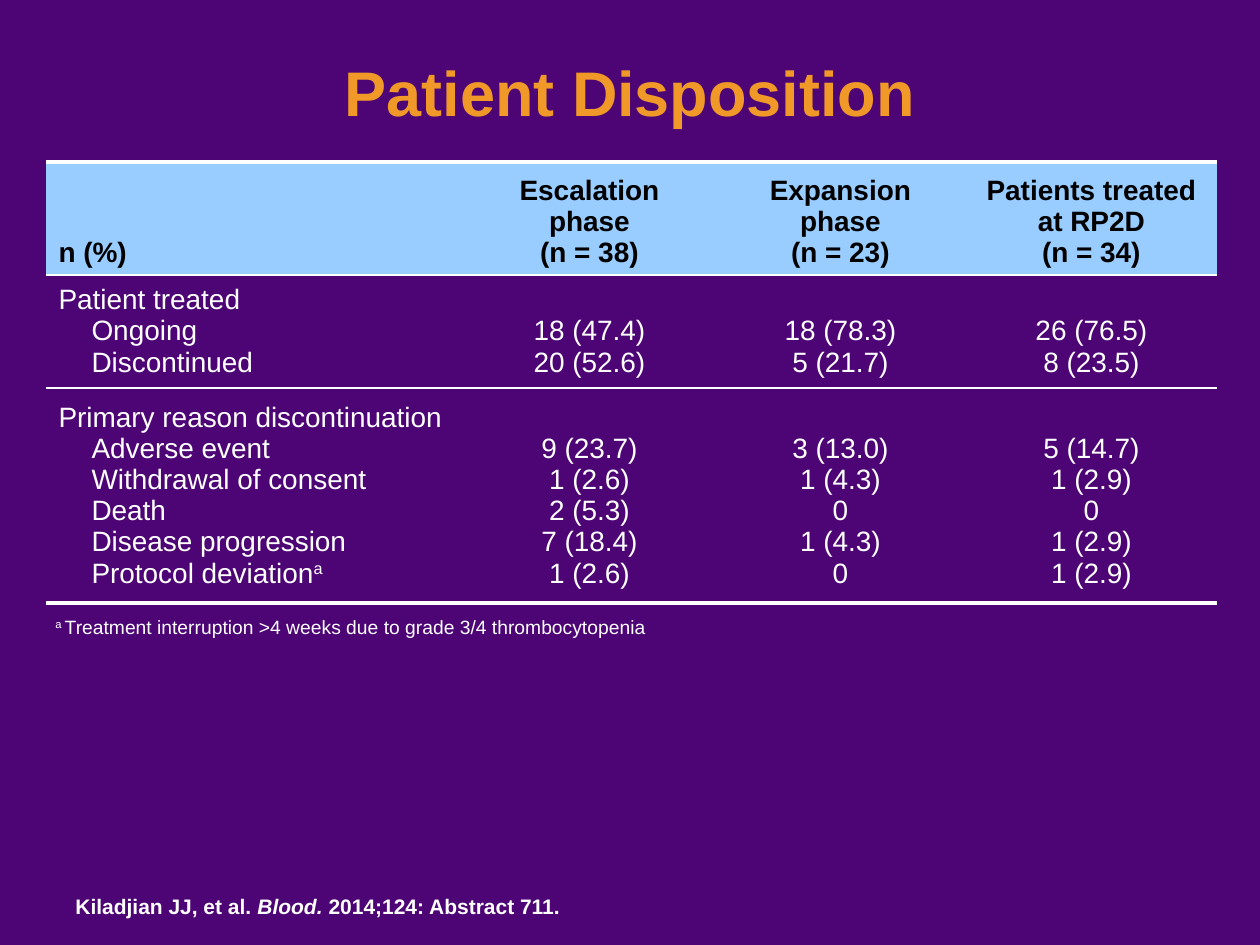
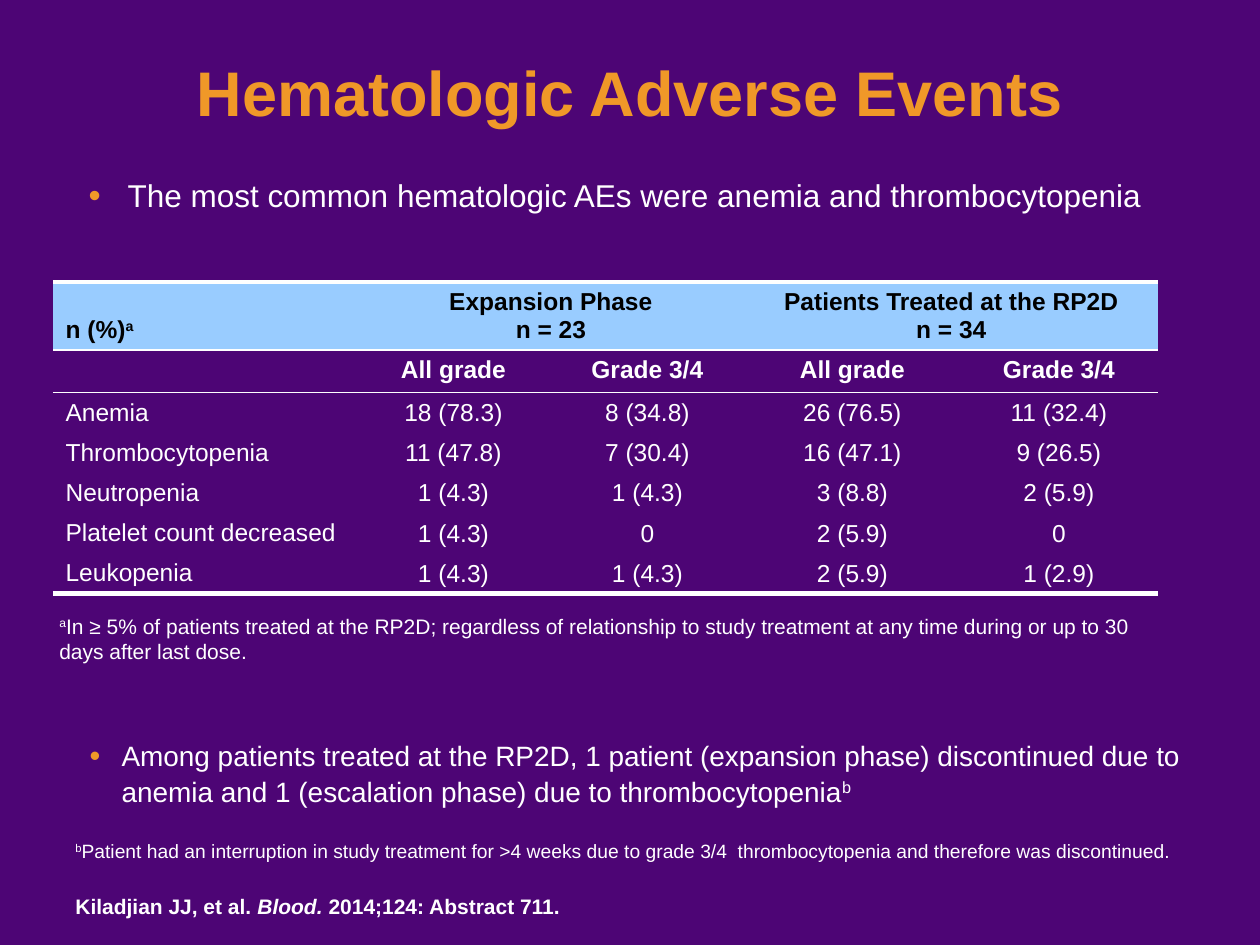
from dataclasses import dataclass

from lxml.etree import SubElement
from pptx import Presentation
from pptx.dml.color import RGBColor
from pptx.enum.text import MSO_ANCHOR, MSO_AUTO_SIZE, PP_ALIGN
from pptx.oxml import parse_xml
from pptx.oxml.ns import nsdecls, qn
from pptx.util import Emu, Pt

SCALE = 914400 / 126
PLAIN_GRID = "{2D5ABB26-0587-4C30-8999-92F81FD0307C}"


@dataclass(frozen=True)
class Theme:
    font: str = "Arial"
    back: str = "4D0575"
    accent: str = "F09828"
    band: str = "99CCFF"
    dark: str = "000000"
    light: str = "FFFFFF"
    title: int = 36
    lead: int = 18
    body: int = 16
    cell: int = 14
    note: int = 12
    small: int = 11
    thick: int = 3
    thin: int = 1


T = Theme()


def px(count):
    return Emu(round(count * SCALE))


def rgb(code):
    return RGBColor.from_string(code)


# Text: a paragraph is a string or a list of (words, style) parts
def write(frame, paras, size, color=T.light, bold=False, align=PP_ALIGN.LEFT):
    for index, parts in enumerate(paras):
        para = frame.paragraphs[0] if index == 0 else frame.add_paragraph()
        para.alignment = align
        if isinstance(parts, str):
            parts = [(parts, "")]
        for words, style in parts:
            if not words:
                continue
            run = para.add_run()
            run.text = words
            font = run.font
            font.name, font.size, font.bold = T.font, Pt(size), bold
            font.color.rgb = rgb(color)
            if style == "italic":
                font.italic = True
            if style == "super":
                run._r.get_or_add_rPr().set("baseline", "30000")
        para._p.get_or_add_endParaRPr().set("sz", str(size * 100))


def place(shape, box):
    shape.left, shape.top, shape.width, shape.height = map(px, box)


def head(slide, words):
    title = slide.shapes.title
    place(title, (0, 30, 1260, 105))
    frame = title.text_frame
    frame.auto_size = MSO_AUTO_SIZE.NONE
    frame.vertical_anchor = MSO_ANCHOR.BOTTOM
    write(frame, [words], T.title, T.accent, True, PP_ALIGN.CENTER)


def bullet(shape, box, parts, size, indent):
    place(shape, box)
    frame = shape.text_frame
    frame.auto_size = MSO_AUTO_SIZE.NONE
    frame.vertical_anchor = MSO_ANCHOR.TOP
    write(frame, [parts], size)
    para = frame.paragraphs[0]
    para.line_spacing = 1.05
    para.space_before = Pt(0)
    props = para._p.get_or_add_pPr()
    props.set("marL", str(px(indent)))
    props.set("indent", str(-px(indent)))
    tint = SubElement(props, qn("a:buClr"))
    SubElement(tint, qn("a:srgbClr")).set("val", T.accent)
    SubElement(props, qn("a:buSzPct")).set("val", "110000")
    SubElement(props, qn("a:buFont")).set("typeface", T.font)
    SubElement(props, qn("a:buChar")).set("char", "•")


def note(slide, box, parts, size, bold=False, wrap=True):
    shape = slide.shapes.add_textbox(*map(px, box))
    shape.text_frame.word_wrap = wrap
    write(shape.text_frame, [parts], size, bold=bold)


def source(slide):
    parts = [("Kiladjian JJ, et al. ", ""), ("Blood. ", "italic"),
             ("2014;124: Abstract 711.", "")]
    note(slide, (63, 887, 520, 38), parts, T.note, True, False)


# Tables
def edge(cell, side, width):
    if width:
        line = parse_xml(
            f'<a:ln{side} {nsdecls("a")} w="{Pt(width)}"><a:solidFill>'
            f'<a:srgbClr val="{T.light}"/></a:solidFill></a:ln{side}>')
        cell._tc.get_or_add_tcPr().insert(0, line)


def grid(slide, left, top, widths, heights):
    """Add a table with ruled top, header and bottom, and a filled header."""
    frame = slide.shapes.add_table(
        len(heights), len(widths), px(left), px(top),
        px(sum(widths)), px(sum(heights)))
    table = frame.table
    table.first_row = table.horz_banding = False
    table._tbl.tblPr.find(qn("a:tableStyleId")).text = PLAIN_GRID
    for column, width in zip(table.columns, widths):
        column.width = px(width)
    rules = [T.thick, T.thin] + [0] * (len(heights) - 2) + [T.thick]
    for index, (row, height) in enumerate(zip(table.rows, heights)):
        row.height = px(height)
        for cell in row.cells:
            if index == 0:
                cell.fill.solid()
                cell.fill.fore_color.rgb = rgb(T.band)
                cell.vertical_anchor = MSO_ANCHOR.BOTTOM
            else:
                cell.fill.background()
            edge(cell, "B", rules[index + 1])
            edge(cell, "T", rules[index])
    return table


def row_align(col):
    return PP_ALIGN.CENTER if col else PP_ALIGN.LEFT


def header(table, cells, size):
    for col, paras in enumerate(cells):
        write(table.cell(0, col).text_frame, paras, size, T.dark, True,
              row_align(col))


def groups(slide, left, top):
    table = grid(slide, left, top, [418] + [251] * 3, [113, 113, 215])
    header(table, [["n (%)"], ["Escalation phase", "(n = 38)"],
                   ["Expansion phase", "(n = 23)"],
                   ["Patients treated at RP2D", "(n = 34)"]], T.body)
    blocks = [
        (10, [["Patient treated", "Ongoing", "Discontinued"],
              ["18 (47.4)", "20 (52.6)"],
              ["18 (78.3)", "5 (21.7)"],
              ["26 (76.5)", "8 (23.5)"]]),
        (14, [["Primary reason discontinuation", "Adverse event",
               "Withdrawal of consent", "Death", "Disease progression",
               [("Protocol deviation", ""), ("a", "super")]],
              ["9 (23.7)", "1 (2.6)", "2 (5.3)", "7 (18.4)", "1 (2.6)"],
              ["3 (13.0)", "1 (4.3)", "0", "1 (4.3)", "0"],
              ["5 (14.7)", "1 (2.9)", "0", "1 (2.9)", "1 (2.9)"]]),
    ]
    for row, (gap, cells) in enumerate(blocks, 1):
        for col, paras in enumerate(cells):
            cell = table.cell(row, col)
            cell.vertical_anchor = MSO_ANCHOR.BOTTOM
            cell.margin_bottom = px(gap)
            write(cell.text_frame, paras, T.body, align=row_align(col))
        # Items sit one step in from their group name
        for para in table.cell(row, 0).text_frame.paragraphs[1:]:
            para._p.get_or_add_pPr().set("marL", str(px(33)))


def events(slide, left, top):
    table = grid(slide, left, top, [304, 193, 195, 215, 198], [68] + [40] * 6)
    for col in (1, 3):
        table.cell(0, col).merge(table.cell(0, col + 1))
    header(table, [[[("n (%)", ""), ("a", "super")]],
                   ["Expansion Phase", "n = 23"], [""],
                   ["Patients Treated at the RP2D", "n = 34"], [""]], T.cell)
    rows = [
        ["", "All grade", "Grade 3/4", "All grade", "Grade 3/4"],
        ["Anemia", "18 (78.3)", "8 (34.8)", "26 (76.5)", "11 (32.4)"],
        ["Thrombocytopenia", "11 (47.8)", "7 (30.4)", "16 (47.1)", "9 (26.5)"],
        ["Neutropenia", "1 (4.3)", "1 (4.3)", "3 (8.8)", "2 (5.9)"],
        ["Platelet count decreased", "1 (4.3)", "0", "2 (5.9)", "0"],
        ["Leukopenia", "1 (4.3)", "1 (4.3)", "2 (5.9)", "1 (2.9)"],
    ]
    for row, cells in enumerate(rows, 1):
        for col, words in enumerate(cells):
            cell = table.cell(row, col)
            if row > 1 and col:
                cell.vertical_anchor = MSO_ANCHOR.MIDDLE
                cell.margin_left = cell.margin_right = cell.margin_top = px(1)
                cell.margin_bottom = 0
            write(cell.text_frame, [words], T.cell, bold=row == 1,
                  align=row_align(col))


# Slides
def status(deck):
    slide = deck.slides.add_slide(deck.slide_layouts.get_by_name("Title Only"))
    head(slide, "Patient Disposition")
    groups(slide, 46, 162)
    note(slide, (43, 609, 1167, 37), [
        ("a ", "super"),
        ("Treatment interruption ˃4 weeks due to grade 3/4 thrombocytopenia",
         "")], T.small)
    source(slide)


def safety(deck):
    slide = deck.slides.add_slide(deck.slide_layouts.get_by_name("Two Content"))
    head(slide, "Hematologic Adverse Events")
    first, second = list(slide.placeholders)[1:3]
    bullet(first, (76, 168, 1142, 53),
           "The most common hematologic AEs were anemia and thrombocytopenia",
           T.lead, 39)
    events(slide, 53, 282)
    note(slide, (47, 607, 1135, 63), [
        ("a", "super"),
        ("In ≥ 5% of patients treated at the RP2D; regardless of relationship "
         "to study treatment at any time during or up to 30 days after last "
         "dose.", "")], T.note)
    bullet(second, (77, 731, 1128, 91), [
        ("Among patients treated at the RP2D, 1 patient (expansion phase) "
         "discontinued due to anemia and 1 (escalation phase) due to "
         "thrombocytopenia", ""), ("b", "super")], T.body, 32)
    note(slide, (63, 833, 1142, 37), [
        ("b", "super"),
        ("Patient had an interruption in study treatment for >4 weeks due to "
         "grade 3/4  thrombocytopenia and therefore was discontinued.", "")],
         T.small)
    source(slide)


def main():
    deck = Presentation()
    deck.slide_width, deck.slide_height = px(1260), px(945)
    fill = deck.slide_master.background.fill
    fill.solid()
    fill.fore_color.rgb = rgb(T.back)
    status(deck)
    safety(deck)
    deck.save("out.pptx")


if __name__ == "__main__":
    main()
